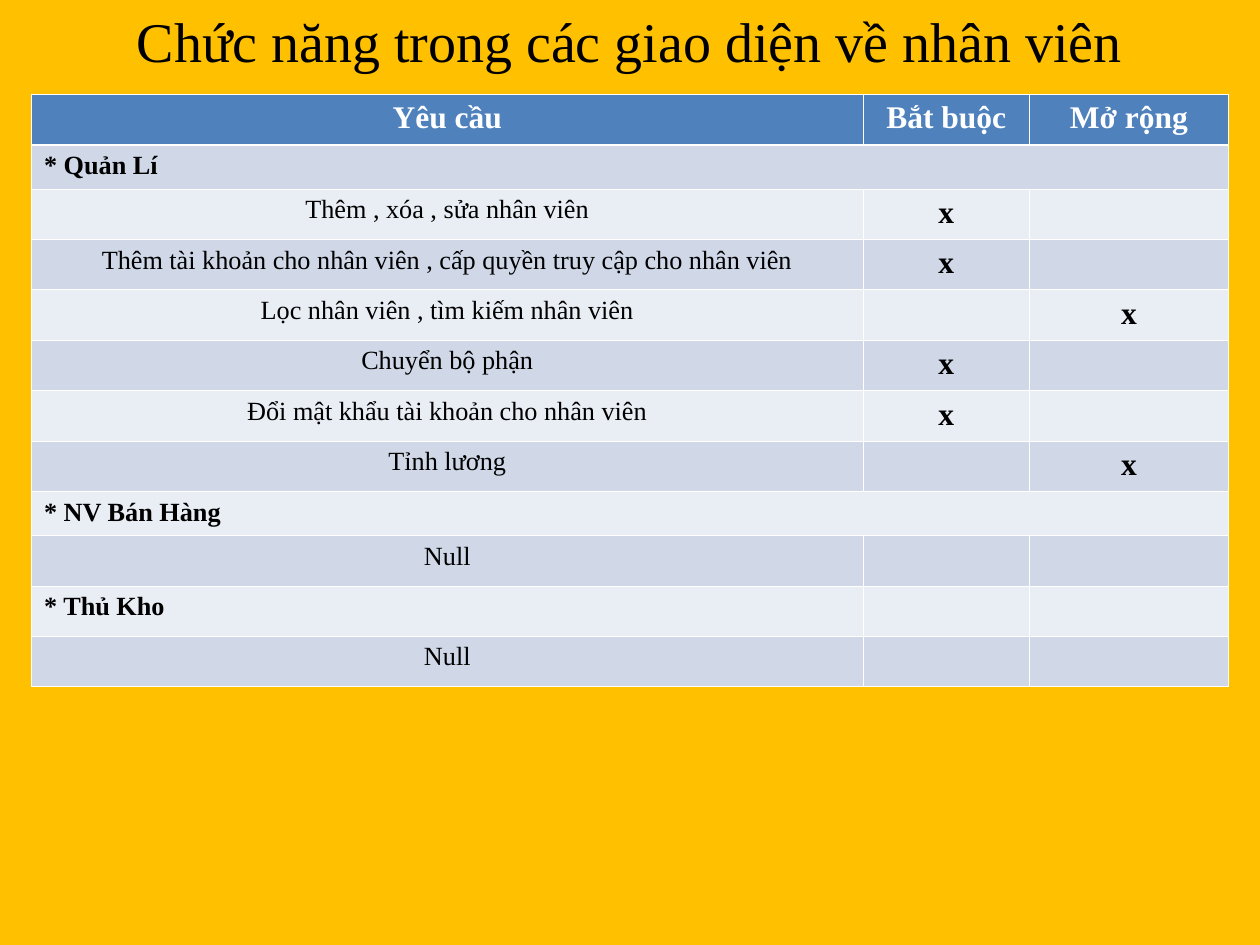
from lxml import etree
from pptx import Presentation
from pptx.dml.color import RGBColor
from pptx.enum import text
from pptx.oxml import ns
from pptx.util import Inches, Pt

COLORS = {"page": "FFC000", "header": "4F81BD", "odd": "D0D8E8",
          "even": "E9EDF4", "white": "FFFFFF", "black": "000000"}
FONT = "Times New Roman"
WIDTHS = [6.6, 1.32, 1.58]
ROWS = [
    ("Yêu cầu", "Bắt buộc", "Mở rộng"),
    ("* Quản Lí", "", ""),
    ("Thêm , xóa , sửa nhân viên", "x", ""),
    ("Thêm tài khoản cho nhân viên , cấp quyền truy cập cho nhân viên", "x", ""),
    ("Lọc nhân viên , tìm kiếm nhân viên", "", "x"),
    ("Chuyển bộ phận", "x", ""),
    ("Đổi mật khẩu tài khoản cho nhân viên", "x", ""),
    ("Tỉnh lương", "", "x"),
    ("* NV Bán Hàng", "", ""),
    ("Null", "", ""),
    ("* Thủ Kho", "", ""),
    ("Null", "", ""),
]
MERGED_ROWS = (1, 8)


def write(para, words, size, color, bold, centered=True):
    para.text = words
    para.alignment = text.PP_ALIGN.CENTER if centered else text.PP_ALIGN.LEFT
    para.font.name = FONT
    para.font.size = Pt(size)
    para.font.bold = bold
    para.font.color.rgb = RGBColor.from_string(COLORS[color])


def add_border(cell, side, points):
    line = etree.SubElement(cell._tc.get_or_add_tcPr(), ns.qn(f"a:ln{side}"), w=str(Pt(points)))
    fill = etree.SubElement(line, ns.qn("a:solidFill"))
    etree.SubElement(fill, ns.qn("a:srgbClr"), val=COLORS["white"])


deck = Presentation()
deck.slide_width, deck.slide_height = Inches(10), Inches(7.5)
page = deck.slides.add_slide(deck.slide_layouts[6])
page.background.fill.solid()
page.background.fill.fore_color.rgb = RGBColor.from_string(COLORS["page"])

frame = page.shapes.add_table(len(ROWS), len(WIDTHS), Inches(0.25), Inches(0.75),
                              Inches(9.5), Inches(4.7))
table = frame.table
for column, width in zip(table.columns, WIDTHS):
    column.width = Inches(width)

for row_index, labels in enumerate(ROWS):
    merged = row_index in MERGED_ROWS
    table.rows[row_index].height = Inches(0.35 if merged else 0.4)
    band = "header" if row_index == 0 else "odd" if row_index % 2 else "even"
    for column_index, label in enumerate(labels):
        cell = table.cell(row_index, column_index)
        section = label.startswith("*")
        small = row_index > 0 and column_index == 0 or merged
        write(cell.text_frame.paragraphs[0], label, 15 if small else 18,
              "black" if row_index else "white", section or not small, not section)
        for side in "LRTB":
            heavy = (row_index, side) in ((0, "B"), (1, "T"))
            add_border(cell, side, 1.47 if heavy else 0.45)
        cell.fill.solid()
        cell.fill.fore_color.rgb = RGBColor.from_string(COLORS[band])

for row_index in MERGED_ROWS:
    table.cell(row_index, 0).merge(table.cell(row_index, 2))

title = page.shapes.add_textbox(0, 0, Inches(10), Inches(0.64))
title.text_frame.word_wrap = True
title.text_frame.auto_size = text.MSO_AUTO_SIZE.SHAPE_TO_FIT_TEXT
write(title.text_frame.paragraphs[0], "Chức năng trong các giao diện về nhân viên", 32, "black", False)

deck.save("out.pptx")
